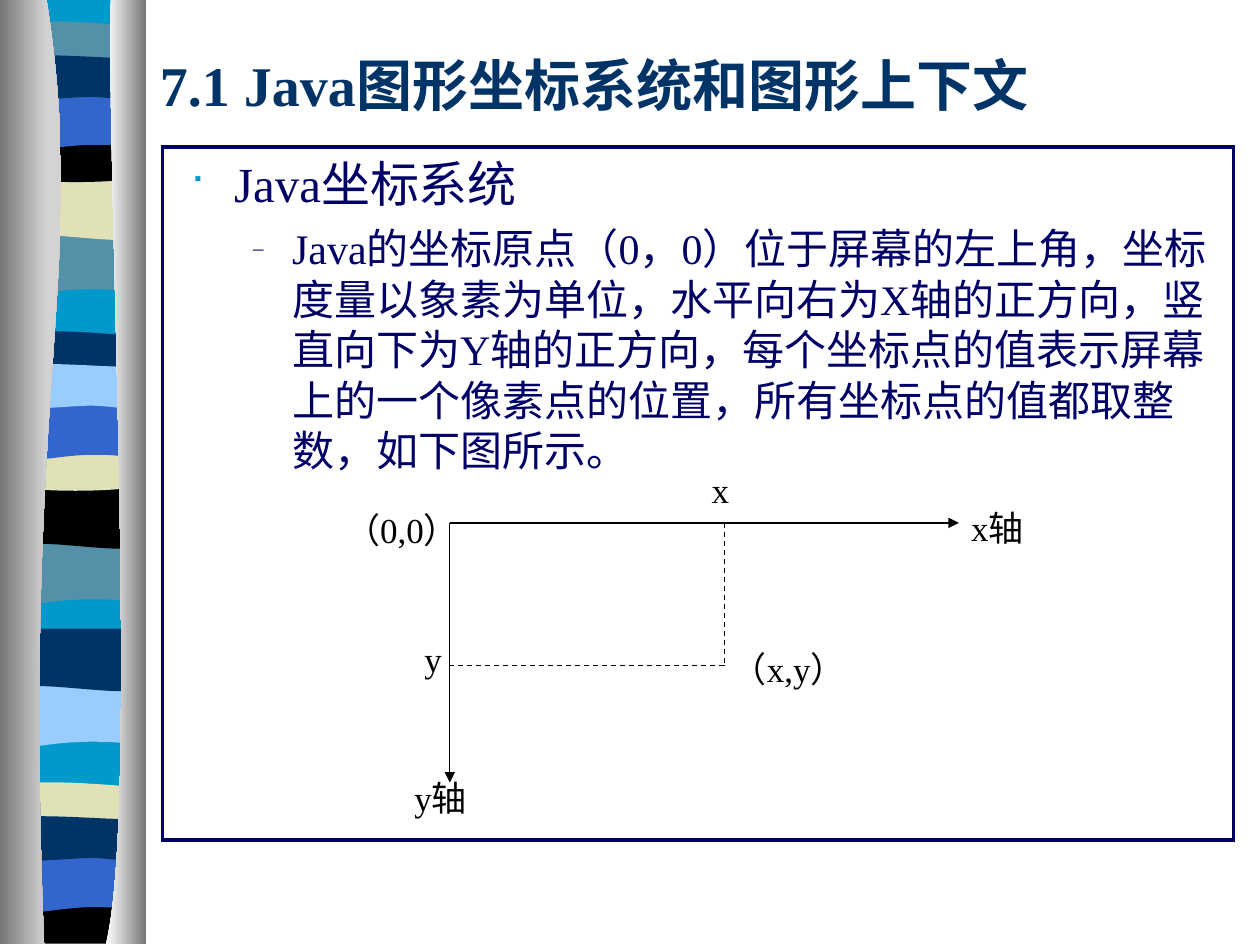
from dataclasses import dataclass
from typing import NamedTuple

from lxml import etree
from pptx import Presentation
from pptx.dml.color import RGBColor
from pptx.enum import dml, text
from pptx.enum.shapes import MSO_CONNECTOR, MSO_SHAPE
from pptx.oxml.ns import qn
from pptx.util import Inches, Pt


@dataclass(frozen=True)
class Theme:
    font: str = "Times New Roman"
    symbol_font: str = "Wingdings"
    title_size: int = 32
    heading_size: int = 28
    body_size: int = 24
    label_size: int = 20
    navy: str = "003366"
    ink: str = "000066"
    black: str = "000000"
    cyan: str = "0099CC"
    teal: str = "5490A8"
    sand: str = "E1E1B7"
    blue: str = "3366CC"
    sky: str = "99CCFF"
    grey: str = "767676"
    silver: str = "D3D3D3"
    white: str = "FFFFFF"


THEME = Theme()


class Stripe(NamedTuple):
    profile: str
    top: float
    color: str


class Label(NamedTuple):
    words: str
    left: float
    top: float
    width: float


class Axis(NamedTuple):
    start: tuple
    end: tuple
    dashed: bool = False


class Bullet(NamedTuple):
    mark: str
    font: str
    color: str
    percent: int
    margin: float
    indent: float


# Outlines hold a start point, then lines (x, y) and cubic curves (x1, y1, x2, y2, x, y).
SHEET = [(0, 0), (1.08, 0), (1.08, 7.47), (0, 7.47)]
PROFILES = {
    "wave": [(0, 0), (1.08, 0), (1.08, 0.47), (0.33, 0.39, 0.18, 0.55, 0, 0.47)],
    "ripple": [(0, 0), (1.08, 0), (1.08, 0.47), (0.9, 0.55, 0.33, 0.41, 0, 0.47)],
    "cap": [(1.08, 0.05), (1.08, 0.29), (0.9, 0.33, 0.18, 0.33, 0, 0.29), (0, 0.05),
            (0.06, 0, 0.23, 0.01, 0.41, 0.01), (0.59, 0.01, 0.94, 0.04, 1.08, 0.05)],
    "bowl": [(1.08, 0), (1.08, 0.32), (0.9, 0.38, 0.18, 0.38, 0, 0.32), (0, 0),
             (0.66, 0.05, 0.85, 0, 1.08, 0)],
    "foot": [(1.08, 0), (1.08, 0.37), (0, 0.37), (0, 0), (0.66, 0.05, 0.85, 0, 1.08, 0)],
    "arch": [(0, 0), (1.08, 0), (1.08, 0.47), (0.91, 0.41, 0.84, 0.41, 0.66, 0.41),
             (0.48, 0.41, 0.16, 0.47, 0, 0.47)],
    "swell": [(1.08, 0.05), (1.08, 0.36), (1.01, 0.41, 0.84, 0.36, 0.66, 0.36),
              (0.48, 0.36, 0.11, 0.41, 0, 0.36), (0, 0.05),
              (0.15, 0, 0.73, 0.05, 0.91, 0.05)],
}
STRIPES = [
    Stripe("wave", 1.85, THEME.teal), Stripe("ripple", 1.41, THEME.sand),
    Stripe("cap", 0.16, THEME.teal), Stripe("bowl", 1.08, THEME.black),
    Stripe("arch", 0.74, THEME.blue), Stripe("swell", 0.41, THEME.navy),
    Stripe("wave", 4.31, THEME.teal), Stripe("ripple", 3.86, THEME.black),
    Stripe("cap", 2.62, THEME.navy), Stripe("bowl", 3.53, THEME.sand),
    Stripe("arch", 3.2, THEME.blue), Stripe("swell", 2.86, THEME.sky),
    Stripe("wave", 5.44, THEME.sky), Stripe("ripple", 4.99, THEME.navy),
    Stripe("cap", 6.2, THEME.sand), Stripe("foot", 7.12, THEME.black),
    Stripe("arch", 6.79, THEME.blue), Stripe("swell", 6.45, THEME.navy),
]
LEFT_EDGE = [(0.37, 0), (0.71, 2.16, 0.17, 2.96, 0.35, 7.49), (0, 7.49), (0, 0)]
RIGHT_EDGE = [(0.88, 0), (0.84, 1.25, 1.11, 6.46, 0.84, 7.49), (1.16, 7.49), (1.16, 0)]

ORIGIN_X, ORIGIN_Y, POINT_X, POINT_Y = 3.57, 4.15, 5.75, 5.28
AXES = [
    Axis((ORIGIN_X, ORIGIN_Y), (7.61, ORIGIN_Y)),
    Axis((ORIGIN_X, ORIGIN_Y), (ORIGIN_X, 6.21)),
    Axis((POINT_X, ORIGIN_Y), (POINT_X, POINT_Y), dashed=True),
    Axis((POINT_X, POINT_Y), (ORIGIN_X, POINT_Y), dashed=True),
]
LABELS = [
    Label("x轴", 7.61, 3.97, 1.24), Label("y轴", 3.19, 6.11, 0.95),
    Label("（0,0）", 2.64, 3.99, 1.26), Label("x", 5.55, 3.67, 0.55),
    Label("y", 3.27, 5.01, 0.64), Label("（x,y）", 5.71, 5.09, 1.55),
]


def rgb(color: str) -> RGBColor:
    return RGBColor.from_string(color)


def bend(shape, outline: list, left: float, top: float) -> None:
    """Turn the straight segments that stand for cubic curves into curves."""
    lines = list(shape._element.iter(qn("a:lnTo")))
    for line, segment in zip(lines, outline[1:]):
        if len(segment) == 2:
            continue
        curve = etree.Element(qn("a:cubicBezTo"))
        for x, y in zip(segment[::2], segment[1::2]):
            etree.SubElement(curve, qn("a:pt"), x=str(Inches(left + x) - shape.left),
                             y=str(Inches(top + y) - shape.top))
        line.getparent().replace(line, curve)


def draw_outline(slide, outline: list, colors: list, left: float = 0, top: float = 0) -> None:
    """Fill an outline with one colour, or with a left-to-right gradient of two."""
    points = [(Inches(left + segment[-2]), Inches(top + segment[-1])) for segment in outline]
    builder = slide.shapes.build_freeform(*points[0])
    builder.add_line_segments(points[1:], close=True)
    shape = builder.convert_to_shape()
    bend(shape, outline, left, top)
    shape.shadow.inherit = False
    shape.line.fill.background()
    if len(colors) == 1:
        shape.fill.solid()
        shape.fill.fore_color.rgb = rgb(colors[0])
        return
    shape.fill.gradient()
    shape.fill.gradient_angle = 0
    for stop, color in zip(shape.fill.gradient_stops, colors):
        stop.color.rgb = rgb(color)


def add_box(slide, left: float, top: float, width: float, height: float):
    box = slide.shapes.add_textbox(*map(Inches, (left, top, width, height)))
    box.text_frame.word_wrap = True
    return box


def write(paragraph, words: str, size: int, color: str, bold: bool = False) -> None:
    run = paragraph.add_run()
    run.text = words
    for name, value in {"name": THEME.font, "size": Pt(size), "bold": bold}.items():
        setattr(run.font, name, value)
    run.font.color.rgb = rgb(color)


def add_bullet(paragraph, bullet: Bullet) -> None:
    properties = paragraph._p.get_or_add_pPr()
    properties.set("marL", str(Inches(bullet.margin)))
    properties.set("indent", str(Inches(bullet.indent)))
    properties.set("hangingPunct", "0")
    color = etree.SubElement(properties, qn("a:buClr"))
    etree.SubElement(color, qn("a:srgbClr"), val=bullet.color)
    etree.SubElement(properties, qn("a:buSzPct"), val=str(bullet.percent * 1000))
    etree.SubElement(properties, qn("a:buFont"), typeface=bullet.font)
    etree.SubElement(properties, qn("a:buChar"), char=bullet.mark)


def draw_axis(slide, axis: Axis) -> None:
    connector = slide.shapes.add_connector(
        MSO_CONNECTOR.STRAIGHT, *map(Inches, axis.start + axis.end))
    connector.line.color.rgb = rgb(THEME.black)
    connector.line.width = Pt(0.75)
    properties = connector._element.spPr
    if axis.dashed:
        connector.line.dash_style = dml.MSO_LINE.DASH
    else:
        etree.SubElement(properties.find(qn("a:ln")), qn("a:tailEnd"), type="triangle")
    etree.SubElement(properties, qn("a:effectLst"))


def draw_label(slide, label: Label) -> None:
    box = add_box(slide, label.left, label.top, label.width, 0.56)
    paragraph = box.text_frame.paragraphs[0]
    paragraph.alignment = text.PP_ALIGN.JUSTIFY
    write(paragraph, label.words, THEME.label_size, THEME.black)


def draw_ribbon(slide) -> None:
    draw_outline(slide, SHEET, [THEME.cyan], left=0.06)
    for stripe in STRIPES:
        draw_outline(slide, PROFILES[stripe.profile], [stripe.color], 0.06, stripe.top)
    draw_outline(slide, LEFT_EDGE, [THEME.grey, THEME.silver])
    draw_outline(slide, RIGHT_EDGE, [THEME.white, THEME.grey])


def draw_body(slide) -> None:
    body = slide.shapes.add_shape(
        MSO_SHAPE.RECTANGLE, *map(Inches, (1.29, 1.17, 8.5, 5.5)))
    body.shadow.inherit = False
    body.fill.background()
    body.line.color.rgb = rgb(THEME.ink)
    body.line.width = Pt(2.25)
    etree.SubElement(body._element.spPr.find(qn("a:ln")), qn("a:miter"), lim="800000")
    frame = body.text_frame
    frame.word_wrap = True
    frame.vertical_anchor = text.MSO_ANCHOR.TOP
    heading, detail = frame.paragraphs[0], frame.add_paragraph()
    heading.alignment = detail.alignment = text.PP_ALIGN.LEFT
    add_bullet(heading, Bullet("■", THEME.symbol_font, THEME.cyan, 70, 0.47, -0.35))
    write(heading, "Java坐标系统", THEME.heading_size, THEME.ink)
    detail.level = 1
    detail.space_before = Pt(6)
    add_bullet(detail, Bullet("–", THEME.font, THEME.ink, 50, 0.93, -0.31))
    write(detail, "Java的坐标原点（0，0）位于屏幕的左上角，坐标度量以象素为单位，"
          "水平向右为X轴的正方向，竖直向下为Y轴的正方向，每个坐标点的值表示屏幕上的"
          "一个像素点的位置，所有坐标点的值都取整数，如下图所示。", THEME.body_size, THEME.ink)


def main() -> None:
    presentation = Presentation()
    presentation.slide_width, presentation.slide_height = Inches(10), Inches(7.5)
    slide = presentation.slides.add_slide(presentation.slide_layouts[6])
    draw_ribbon(slide)
    title = add_box(slide, 1.17, 0.33, 8.5, 0.67)
    title.text_frame.vertical_anchor = text.MSO_ANCHOR.MIDDLE
    write(title.text_frame.paragraphs[0], "7.1 Java图形坐标系统和图形上下文",
          THEME.title_size, THEME.navy, bold=True)
    draw_body(slide)
    for axis in AXES:
        draw_axis(slide, axis)
    for label in LABELS:
        draw_label(slide, label)
    presentation.save("out.pptx")


if __name__ == "__main__":
    main()
